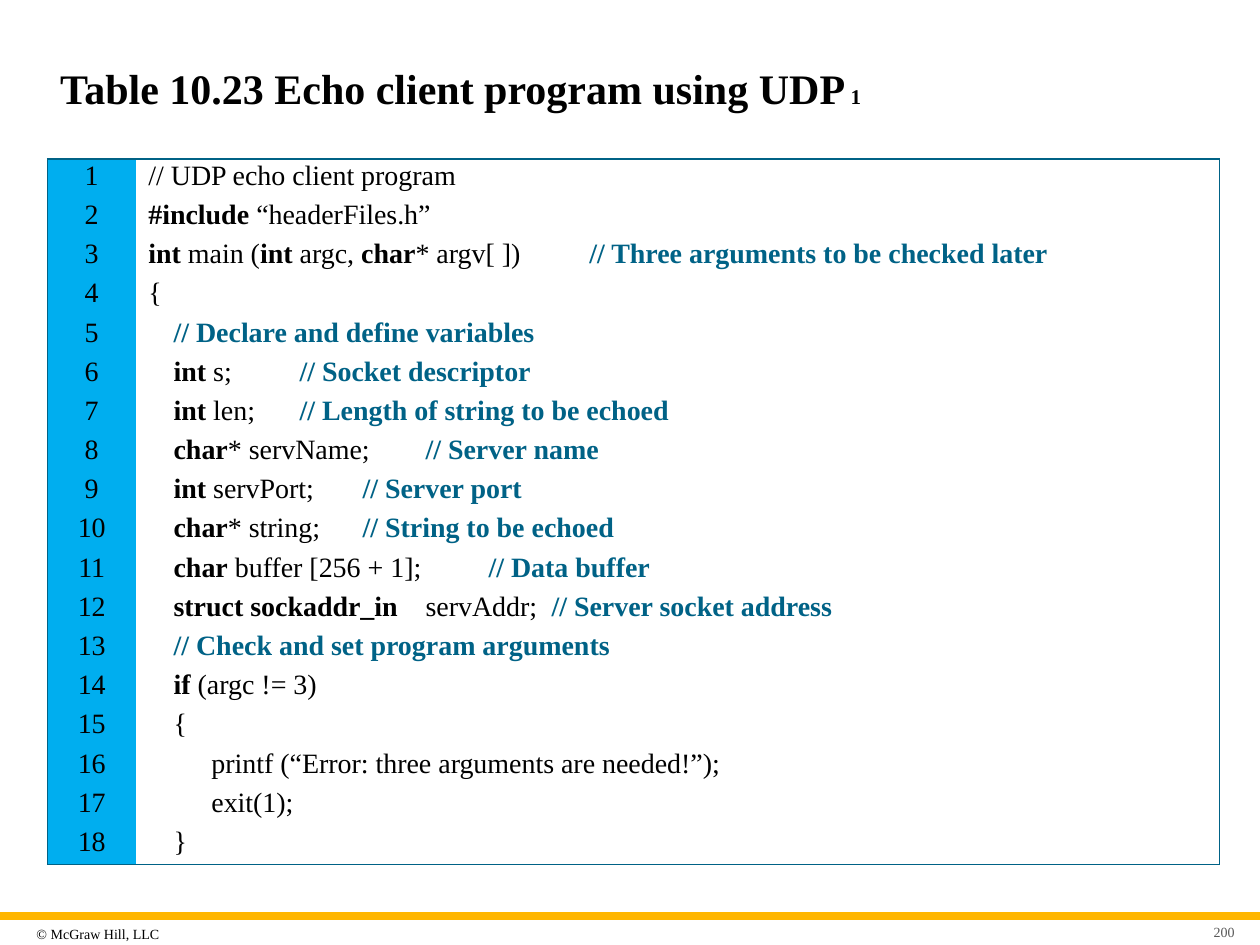
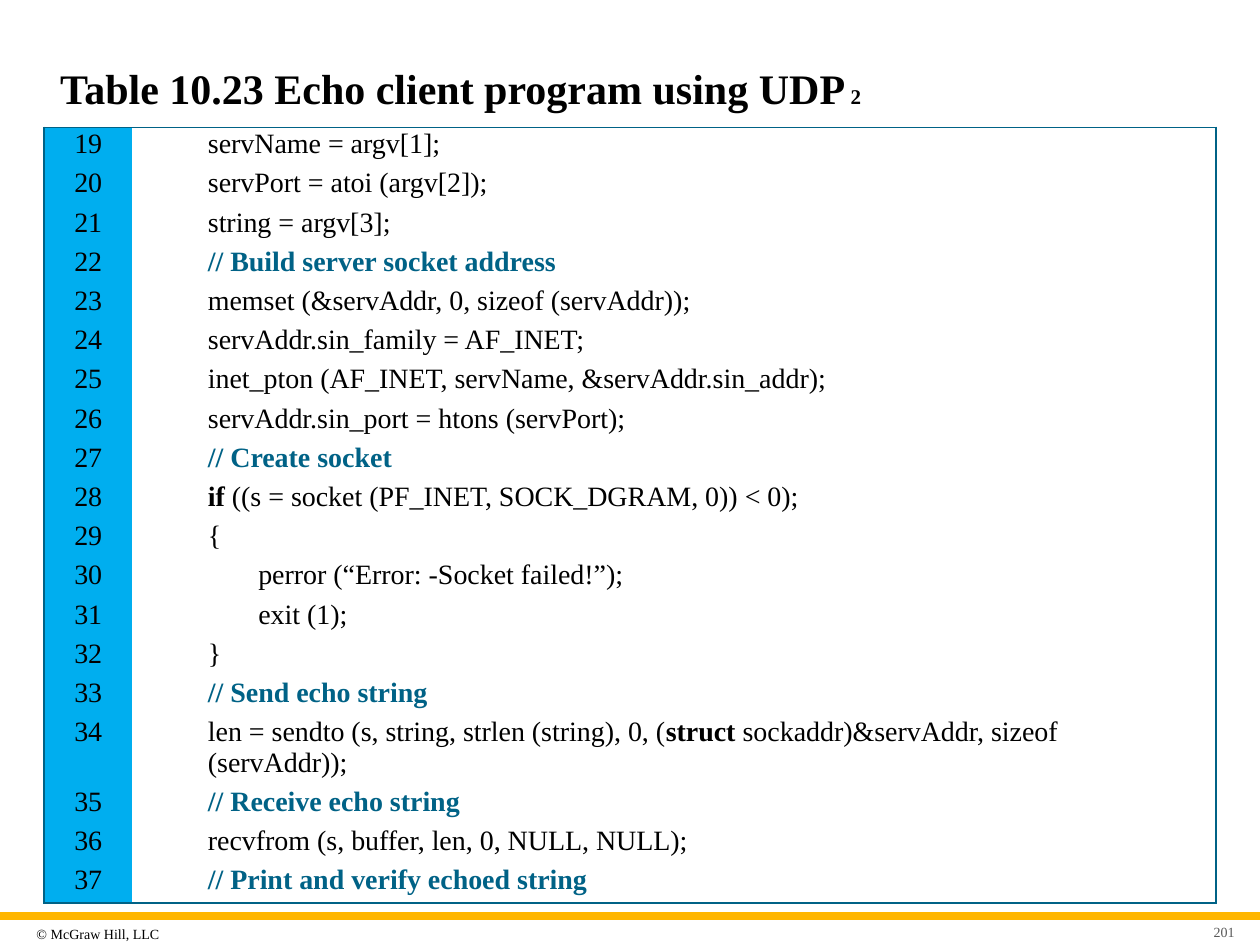
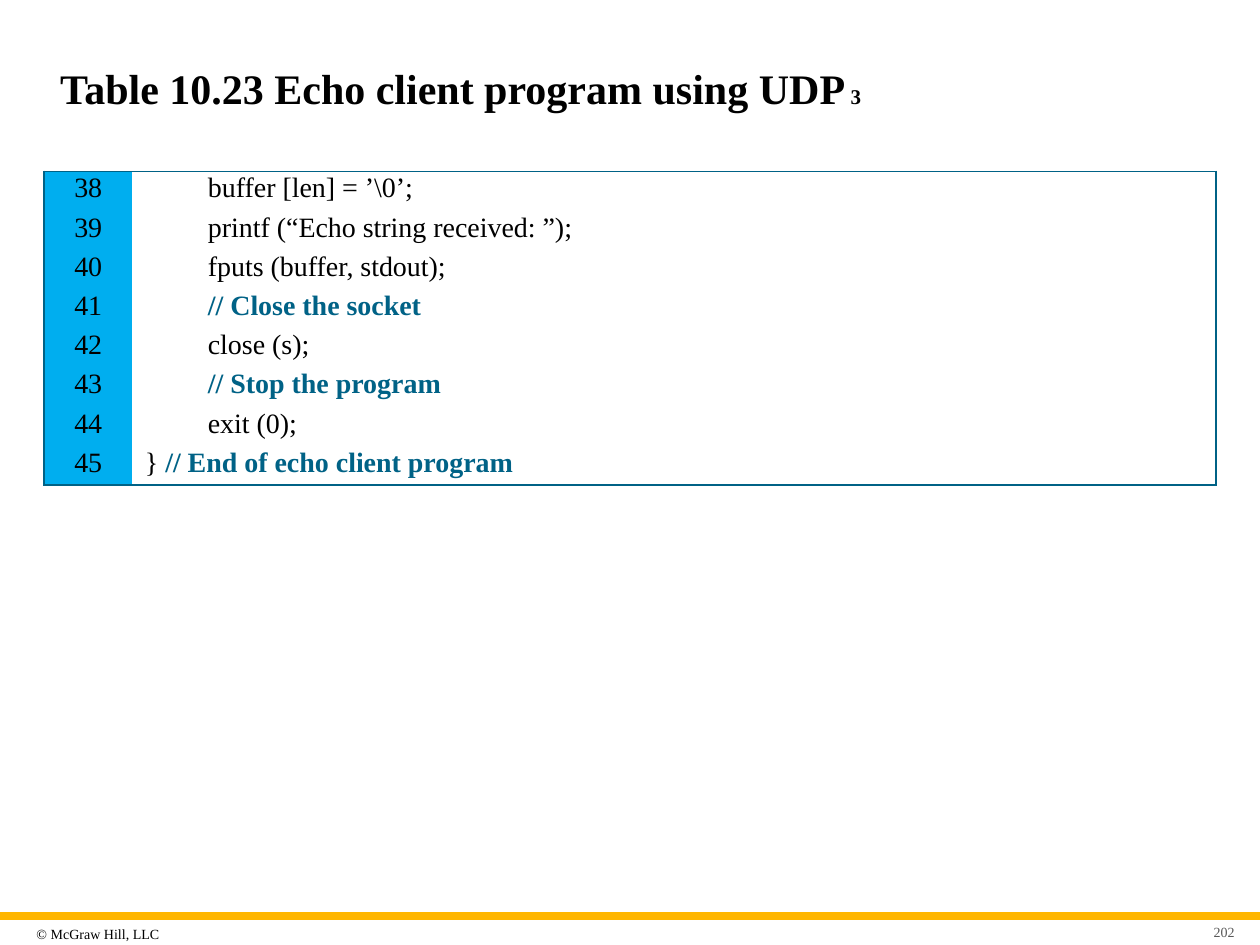
import pptx
import pptx.dml.color
import pptx.enum.shapes
import pptx.enum.text
import pptx.oxml
import pptx.oxml.ns
import pptx.util

PX = 914400 // 180
ROW_H = 56
COLS = (126, 1548)
INDENTS = (0, 36, 90, 162)
NO_STYLE = "{2D5ABB26-0587-4C30-8999-92F81FD0307C}"
BLACK, TEAL, BLUE, GOLD, GREY = "000000", "006286", "00AEEF", "FFB600", "595959"
ALIGN = pptx.enum.text.PP_ALIGN
MIDDLE = pptx.enum.text.MSO_ANCHOR.MIDDLE
LISTINGS = [
    (68, 227, [
        (0, "// UDP echo client program"),
        (0, "`#include `“headerFiles.h”"),
        (0, "`int` main (`int `argc, `char`* argv[ ]) \t`// Three arguments to be checked later`"),
        (0, "{"),
        (1, "`// Declare and define variables`"),
        (1, "`int` s; \t`// Socket descriptor`"),
        (1, "`int `len; \t`// Length of string to be echoed`"),
        (1, "`char`* servName; \t`// Server name`"),
        (1, "`int `servPort; \t`// Server port`"),
        (1, "`char`* string; \t`// String to be echoed`"),
        (1, "`char` buffer [256 + 1]; \t`// Data buffer`"),
        (1, "`struct sockaddr_in`\tservAddr; \t`// Server socket address`"),
        (1, "`// Check and set program arguments`"),
        (1, "`if` (argc != 3)"),
        (1, "{"),
        (2, "printf (“Error: three arguments are needed!”);"),
        (2, "exit(1);"),
        (1, "}"),
    ]),
    (63, 182, [
        (2, "servName = argv[1];"),
        (2, "servPort = atoi (argv[2]);"),
        (2, "string = argv[3];"),
        (2, "`// Build server socket address`"),
        (2, "memset (&servAddr, 0, sizeof (servAddr));"),
        (2, "servAddr.sin_family = AF_INET;"),
        (2, "inet_pton (AF_INET, servName, &servAddr.sin_addr);"),
        (2, "servAddr.sin_port = htons (servPort);"),
        (2, "`// Create socket`"),
        (2, "`if` ((s = socket (PF_INET, SOCK_DGRAM, 0)) < 0);"),
        (2, "{"),
        (3, "perror (“Error: -Socket failed!”);"),
        (3, "exit (1);"),
        (2, "}"),
        (2, "`// Send echo string`"),
        (2, "len = sendto (s, string, strlen (string), 0, (`struct `sockaddr)&servAddr, sizeof (servAddr));"),
        (2, "`// Receive echo string`"),
        (2, "recvfrom (s, buffer, len, 0, NULL, NULL);"),
        (2, "`// Print and verify echoed string`"),
    ]),
    (63, 245, [
        (2, "buffer [len] = ’\\0’;"),
        (2, "printf (“Echo string received: ”);"),
        (2, "fputs (buffer, stdout);"),
        (2, "`// Close the socket`"),
        (2, "close (s);"),
        (2, "`// Stop the program`"),
        (2, "exit (0);"),
        (0, "} `// End of echo client program`"),
    ]),
]


def rgb(value):
    return pptx.dml.color.RGBColor.from_string(value)


def px(*lengths):
    return [pptx.util.Emu(n * PX) for n in lengths]


def assign(obj, values):
    for name, value in values.items():
        setattr(obj, name, value)


def margins(left, top, right, bottom):
    names = ("margin_left", "margin_top", "margin_right", "margin_bottom")
    return dict(zip(names, px(left, top, right, bottom)))


class Deck:
    """Holds the shared style and the current slide."""

    font = "Times New Roman"

    def __init__(self):
        self.prs = pptx.Presentation()
        self.prs.slide_width, self.prs.slide_height = px(1800, 1350)
        self.s = None

    def slide(self, number):
        self.s = self.prs.slides.add_slide(self.prs.slide_layouts[5])
        self.band()
        self.label("© McGraw Hill, LLC", (43, 1312, 243, 43), BLACK, ALIGN.LEFT, 9)
        self.label(str(number), (1703, 1316, 70, 32), GREY, ALIGN.RIGHT, 18)

    def run(self, p, text, size, color=BLACK, bold=False):
        r = p.add_run()
        r.text = text
        assign(r.font, {"name": self.font, "size": pptx.util.Pt(size), "bold": bold})
        r.font.color.rgb = rgb(color)

    def band(self):
        rect = pptx.enum.shapes.MSO_SHAPE.RECTANGLE
        sp = self.s.shapes.add_shape(rect, *px(0, 1303, 1800, 11))
        sp.shadow.inherit = False
        sp.fill.solid()
        sp.fill.fore_color.rgb = rgb(GOLD)
        sp.line.fill.background()

    def label(self, text, box, color, align, left):
        tf = self.s.shapes.add_textbox(*px(*box)).text_frame
        assign(tf, {"word_wrap": True, "vertical_anchor": MIDDLE, **margins(left, 9, 9, 9)})
        p = tf.paragraphs[0]
        p.alignment = align
        self.run(p, text, 8, color)

    def title(self, text, part):
        sp = self.s.shapes.title
        assign(sp, dict(zip(("left", "top", "width", "height"), px(68, 59, 1665, 133))))
        tf = sp.text_frame
        assign(tf, {"vertical_anchor": MIDDLE, "auto_size": pptx.enum.text.MSO_AUTO_SIZE.NONE,
                    **margins(18, 9, 18, 9)})
        p = tf.paragraphs[0]
        p.alignment = ALIGN.LEFT
        self.run(p, text, 24, bold=True)
        self.run(p, f" {part}", 12, bold=True)

    def cell(self, cell, sides, fill=None):
        assign(cell, margins(18, 2, 18, 2))
        tcPr = cell._tc.get_or_add_tcPr()
        for side in sides:
            tcPr.append(pptx.oxml.parse_xml(
                f'<a:ln{side} {pptx.oxml.ns.nsdecls("a")} w="12700"><a:solidFill>'
                f'<a:srgbClr val="{TEAL}"/></a:solidFill></a:ln{side}>'))
        if fill:
            cell.fill.solid()
            cell.fill.fore_color.rgb = rgb(fill)
        else:
            cell.fill.background()
        return cell.text_frame.paragraphs[0]

    def code(self, p, level, text):
        pPr = p._p.get_or_add_pPr()
        pPr.set("marL", str(INDENTS[level] * PX))
        pPr.set("indent", "0")
        stops = (400, 720)[-text.count("\t"):] if "\t" in text else ()
        if stops:
            tabs = "".join(f'<a:tab pos="{stop * PX}" algn="l"/>' for stop in stops)
            pPr.append(pptx.oxml.parse_xml(
                f'<a:tabLst {pptx.oxml.ns.nsdecls("a")}>{tabs}</a:tabLst>'))
        for i, part in enumerate(text.split("`")):
            bold = i % 2 == 1
            if part:
                self.run(p, part, 16, TEAL if bold and part.startswith("//") else BLACK, bold)

    def listing(self, left, top, lines, first):
        box = px(left, top, sum(COLS), ROW_H * len(lines))
        table = self.s.shapes.add_table(len(lines), len(COLS), *box).table
        assign(table, {"first_row": False, "horz_banding": False})
        table._tbl.tblPr.find(pptx.oxml.ns.qn("a:tableStyleId")).text = NO_STYLE
        for column, width in zip(table.columns, px(*COLS)):
            column.width = width
        for i, (level, text) in enumerate(lines):
            table.rows[i].height = px(ROW_H)[0]
            edges = "T" * (i == 0) + "B" * (i == len(lines) - 1)
            p = self.cell(table.cell(i, 0), "L" + edges, BLUE)
            p.alignment = ALIGN.CENTER
            self.run(p, str(first + i), 16)
            self.code(self.cell(table.cell(i, 1), "R" + edges), level, text)


def main():
    deck = Deck()
    first = 1
    for part, (left, top, lines) in enumerate(LISTINGS, 1):
        deck.slide(199 + part)
        deck.title("Table 10.23 Echo client program using UDP", part)
        deck.listing(left, top, lines, first)
        first += len(lines)
    deck.prs.save("out.pptx")


if __name__ == "__main__":
    main()
